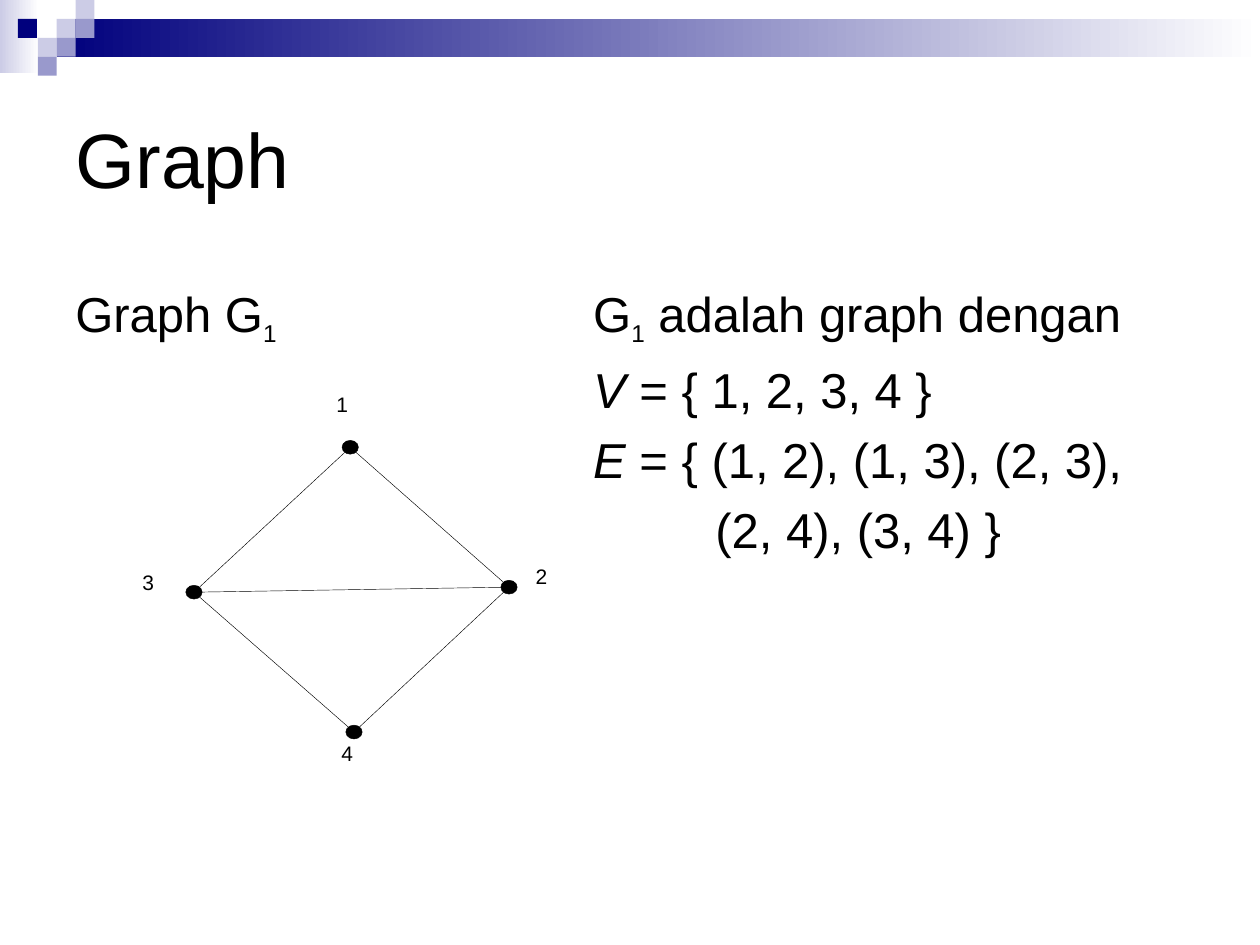
from lxml import etree
from pptx import Presentation
from pptx.dml.color import RGBColor
from pptx.enum.shapes import MSO_CONNECTOR, MSO_SHAPE
from pptx.enum.text import MSO_ANCHOR, PP_ALIGN
from pptx.oxml.ns import qn
from pptx.util import Inches, Pt

BLACK = RGBColor(0x00, 0x00, 0x00)
WHITE = RGBColor(0xFF, 0xFF, 0xFF)
NAVY = RGBColor(0x00, 0x00, 0x7D)
LAVENDER = RGBColor(0xCC, 0xCC, 0xE6)
PERIWINKLE = RGBColor(0x99, 0x99, 0xCC)
FONT = "Arial"

TILE = 0.15
TILES = [
    (3, 1, LAVENDER), (4, 0, LAVENDER), (4, 1, PERIWINKLE), (2, 2, LAVENDER),
    (0.95, 1, NAVY), (3, 2, PERIWINKLE), (2, 3, PERIWINKLE),
]

VERTICES = {
    "1": ((1.65, 0.44), (1.54, 0)),
    "2": ((2.91, 1.55), (3.12, 1.36)),
    "3": ((0.41, 1.59), (0, 1.41)),
    "4": ((1.68, 2.7), (1.58, 2.77)),
}
EDGES = ["12", "24", "13", "34", "23"]

NORMAL, ITALIC, SUBSCRIPT = range(3)
GRAPH_NAME = [([("Graph G", NORMAL), ("1", SUBSCRIPT)], 0)]
DEFINITION = [
    ([("G", NORMAL), ("1", SUBSCRIPT), (" adalah graph dengan", NORMAL)], 0),
    ([("V", ITALIC), (" = { 1, 2, 3, 4 }", NORMAL)], 0),
    ([("E", ITALIC), (" = { (1, 2), (1, 3), (2, 3),", NORMAL)], 0),
    ([("(2, 4), (3, 4) }", NORMAL)], 0.97),
]


def style(paragraph, size):
    paragraph.alignment = PP_ALIGN.LEFT
    paragraph.font.name = FONT
    paragraph.font.size = Pt(size)
    paragraph.font.color.rgb = BLACK


def add_plain_shape(slide, preset, left, top, width, height, color):
    shape = slide.shapes.add_shape(
        preset, Inches(left), Inches(top), Inches(width), Inches(height))
    shape.shadow.inherit = False
    shape.line.fill.background()
    shape.fill.solid()
    shape.fill.fore_color.rgb = color
    return shape


def add_fading_bar(slide, left, top, width, height, color):
    bar = add_plain_shape(slide, MSO_SHAPE.RECTANGLE, left, top, width, height, color)
    bar.fill.gradient()
    bar.fill.gradient_angle = 0
    for stop, stop_color in zip(bar.fill.gradient_stops, (color, WHITE)):
        stop.color.rgb = stop_color


def add_banner(slide, left, top, width):
    add_fading_bar(slide, left, top, 0.31, 0.58, LAVENDER)
    add_fading_bar(slide, left + 3 * TILE, top + TILE, width - 3 * TILE, 2 * TILE, NAVY)
    for column, row, color in TILES:
        add_plain_shape(slide, MSO_SHAPE.RECTANGLE, left + column * TILE,
                        top + row * TILE, TILE, TILE, color)


def place_title(slide, left, top, width, height):
    title = slide.shapes.title
    title.left, title.top = Inches(left), Inches(top)
    title.width, title.height = Inches(width), Inches(height)
    title.text_frame.text = "Graph"
    title.text_frame.vertical_anchor = MSO_ANCHOR.MIDDLE
    style(title.text_frame.paragraphs[0], 44)


def add_body(slide, left, top, width, height, lines):
    body = slide.shapes.add_textbox(
        Inches(left), Inches(top), Inches(width), Inches(height)).text_frame
    body.word_wrap = True
    for number, (runs, indent) in enumerate(lines):
        paragraph = body.add_paragraph() if number else body.paragraphs[0]
        if number:
            paragraph.space_before = Pt(6.5)
        if indent:
            paragraph._p.get_or_add_pPr().set("marL", str(Inches(indent)))
        style(paragraph, 28)
        for text, kind in runs:
            run = paragraph.add_run()
            run.text = text
            if kind == ITALIC:
                run.font.italic = True
            elif kind == SUBSCRIPT:
                run.font.size = Pt(24)
                run._r.get_or_add_rPr().set("baseline", "-25000")


def add_graph(slide, left, top):
    node_width, node_height = 0.13, 0.11
    for (x, y), _ in VERTICES.values():
        node = add_plain_shape(slide, MSO_SHAPE.OVAL, left + x - node_width / 2,
                               top + y - node_height / 2, node_width, node_height, BLACK)
        node.line.color.rgb = BLACK
        node.line.width = Pt(0.25)
    for start, end in EDGES:
        (x1, y1), (x2, y2) = VERTICES[start][0], VERTICES[end][0]
        edge = slide.shapes.add_connector(
            MSO_CONNECTOR.STRAIGHT, Inches(left + x1), Inches(top + y1),
            Inches(left + x2), Inches(top + y2))
        edge.line.color.rgb = BLACK
        edge.line.width = Pt(0.25)
        etree.SubElement(edge._element.spPr, qn("a:effectLst"))
    for name, (_, (x, y)) in VERTICES.items():
        label = slide.shapes.add_textbox(
            Inches(left + x), Inches(top + y), Inches(0.19), Inches(0.28)).text_frame
        label.margin_left = label.margin_right = 0
        label.margin_top = label.margin_bottom = 0
        label.word_wrap = True
        label.text = name
        style(label.paragraphs[0], 12)


def main():
    presentation = Presentation()
    presentation.slide_width = Inches(10)
    presentation.slide_height = Inches(7.5)
    slide = presentation.slides.add_slide(presentation.slide_layouts[5])
    add_banner(slide, 0, 0, 10)
    place_title(slide, 0.5, 0.5, 9, 1.5)
    add_body(slide, 0.5, 2.2, 4.42, 4.25, GRAPH_NAME)
    add_body(slide, 4.61, 2.2, 4.89, 4.25, DEFINITION)
    add_graph(slide, 1.13, 3.11)
    presentation.save("out.pptx")


if __name__ == "__main__":
    main()
